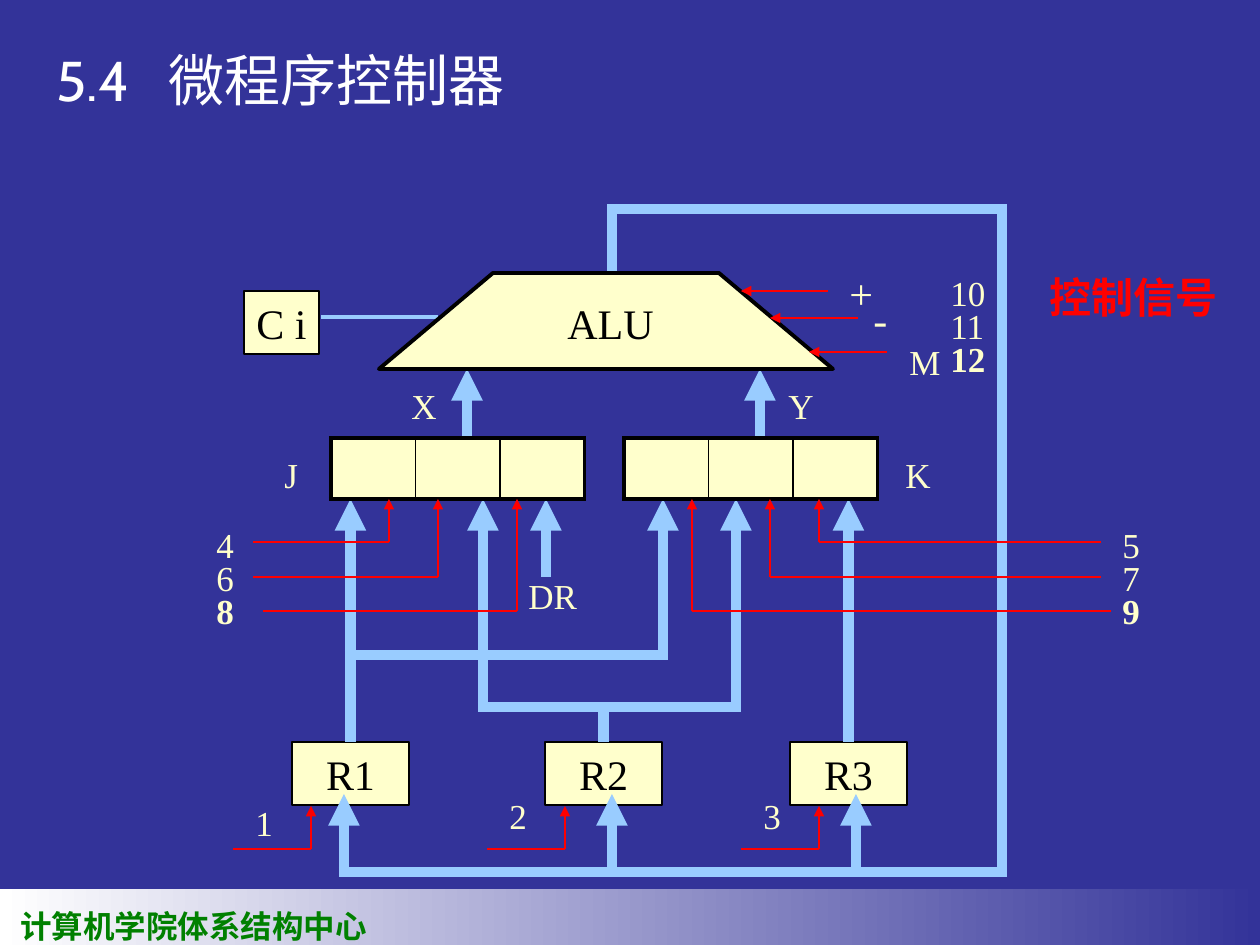
from typing import NamedTuple

from lxml import etree
from pptx import Presentation
from pptx.dml.color import RGBColor
from pptx.enum.shapes import MSO_CONNECTOR, MSO_SHAPE
from pptx.enum.text import MSO_ANCHOR, MSO_AUTO_SIZE, PP_ALIGN
from pptx.oxml.ns import qn
from pptx.util import Emu, Pt

SCALE = 914400 / 126
STRAIGHT = MSO_CONNECTOR.STRAIGHT
RECTANGLE = MSO_SHAPE.RECTANGLE
LEFT, CENTER = PP_ALIGN.LEFT, PP_ALIGN.CENTER
TOP, MIDDLE, BOTTOM = MSO_ANCHOR.TOP, MSO_ANCHOR.MIDDLE, MSO_ANCHOR.BOTTOM
NO_AUTOFIT = MSO_AUTO_SIZE.NONE
NAVY, CREAM, SKY, RED, BLACK, WHITE, GREEN = (
    "333399", "FFFFCC", "99CCFF", "FF0000", "000000", "FFFFFF", "008000")
TOP_SIDE = 0
BANK_TOP, BANK_BOTTOM, CELL_WIDTH = 438, 499, 84.5
LABEL_HEIGHT = 55


class Pen(NamedTuple):
    color: str
    width: float
    arrow: bool = False


class Wire(NamedTuple):
    x1: float
    y1: float
    x2: float
    y2: float
    pen: Pen


class Label(NamedTuple):
    text: str
    left: int
    top: int
    width: int
    size: int = 20
    color: str = CREAM
    bold: bool = False
    align: PP_ALIGN = LEFT


class Gate(NamedTuple):
    x: int
    y: int
    end: int


BUS, BUS_ARROW = Pen(SKY, 6), Pen(SKY, 6, True)
SIGNAL, SIGNAL_ARROW = Pen(RED, 0.75), Pen(RED, 0.75, True)
THICK, THIN = Pen(BLACK, 2.25), Pen(BLACK, 1)

REGISTERS = [("R1", 292, 499, BUS_ARROW), ("R2", 545, 707, BUS), ("R3", 790, 499, BUS_ARROW)]
BUS_WIRES = [
    *(Wire(x, BANK_TOP, x, 369, BUS_ARROW) for x in (467, 760)),
    *(Wire(x, start, x, BANK_BOTTOM, BUS_ARROW)
      for x, start in ((546, 577), (663, 655), (483, 707), (736, 707))),
    Wire(345, 655, 668, 655, BUS),
    Wire(478, 707, 741, 707, BUS),
    *(Wire(x, 872, x, 794, BUS_ARROW) for x in (344, 612, 856)),
    Wire(339, 872, 1007, 872, BUS),
    Wire(1002, 872, 1002, 204, BUS),
    Wire(612, 204, 612, 273, BUS),
    Wire(612, 209, 1002, 209, BUS),
    Wire(321, 317, 438, 317, Pen(SKY, 2.25)),
]
GATES = [Gate(389, 542, 253), Gate(438, 577, 253), Gate(517, 611, 263),
         Gate(819, 542, 1101), Gate(770, 577, 1101), Gate(692, 611, 1111)]
SIGNAL_WIRES = [
    *(Wire(x, 849, x, 806, SIGNAL_ARROW) for x in (311, 565, 819)),
    *(Wire(x, 849, x - 78, 849, SIGNAL) for x in (311, 565, 819)),
    *(Wire(start, y, end, y, SIGNAL_ARROW)
      for start, y, end in ((828, 291, 741), (858, 318, 770), (887, 352, 809))),
    *(Wire(gate.x, gate.y, gate.x, BANK_BOTTOM, SIGNAL_ARROW) for gate in GATES),
    *(Wire(gate.x, gate.y, gate.end, gate.y, SIGNAL) for gate in GATES),
]
LABELS = [
    Label("计算机学院体系结构中心", 8, 901, 372, 18, GREEN, True),
    Label("ALU", 555, 291, 111, 24, BLACK),
    Label("X", 399, 378, 52), Label("Y", 776, 378, 52),
    Label("J", 272, 447, 52), Label("K", 893, 447, 52),
    Label("DR", 516, 568, 78),
    Label("+", 837, 261, 49, 24), Label("-", 861, 287, 39, 24), Label("M", 897, 334, 57),
    Label("1", 243, 795, 43), Label("2", 497, 788, 43), Label("3", 751, 788, 43),
    Label("控制信号", 1037, 265, 193, 24, RED, True, CENTER),
]
SIGNAL_COLUMNS = [(("4", "6", "8"), 204, 517, 43), (("5", "7", "9"), 1110, 517, 43),
                  (("10", "11", "12"), 938, 265, 60)]


def px(value: float) -> Emu:
    """Turn pixels into EMU."""
    return Emu(round(value * SCALE))


def rgb(color: str) -> RGBColor:
    """Turn a hex string into a colour."""
    return RGBColor.from_string(color)


def write(box, text: str, *, size: int, color: str, font: str = "Times New Roman",
          bold: bool = False, align: PP_ALIGN = LEFT, anchor: MSO_ANCHOR = TOP,
          wrap: bool = False, tab: int = 0) -> None:
    """Put one formatted paragraph in a box."""
    frame = box.text_frame
    frame.auto_size, frame.word_wrap, frame.vertical_anchor = NO_AUTOFIT, wrap, anchor
    para = frame.paragraphs[0]
    para.alignment = align
    if tab:
        tabs = etree.SubElement(para._p.get_or_add_pPr(), qn("a:tabLst"))
        etree.SubElement(tabs, qn("a:tab"), pos=str(px(tab)), algn="l")
    span = para.add_run()
    span.text = text
    span.font.name, span.font.size, span.font.bold = font, Pt(size), bold
    span.font.color.rgb = rgb(color)


def draw_label(page, label: Label) -> None:
    """Draw a free-standing text label."""
    box = page.shapes.add_textbox(px(label.left), px(label.top), px(label.width), px(LABEL_HEIGHT))
    write(box, label.text, size=label.size, color=label.color, bold=label.bold, align=label.align)


def paint(shape, line: Pen | None = None) -> None:
    """Give a shape the cream fill and an optional outline."""
    shape.shadow.inherit = False
    shape.fill.solid()
    shape.fill.fore_color.rgb = rgb(CREAM)
    if line:
        shape.line.color.rgb, shape.line.width = rgb(line.color), Pt(line.width)
    else:
        shape.line.fill.background()


def draw_box(page, left: float, top: int, width: float, height: int, line: Pen | None = None):
    """Draw a cream rectangle."""
    box = page.shapes.add_shape(RECTANGLE, px(left), px(top), px(width), px(height))
    paint(box, line)
    return box


def draw_wire(page, wire: Wire):
    """Draw a straight line with an optional arrowhead."""
    line = page.shapes.add_connector(STRAIGHT, *(px(value) for value in wire[:4]))
    line.line.color.rgb, line.line.width = rgb(wire.pen.color), Pt(wire.pen.width)
    if wire.pen.arrow:
        etree.SubElement(line.line._get_or_add_ln(), qn("a:tailEnd"), type="triangle")
    etree.SubElement(line._element.spPr, qn("a:effectLst"))
    return line


def draw_bank(page, left: int) -> None:
    """Draw a three-cell input selector."""
    edges = [left + column * CELL_WIDTH for column in range(4)]
    for edge in edges[:3]:
        draw_box(page, edge, BANK_TOP, CELL_WIDTH, BANK_BOTTOM - BANK_TOP)
    for edge, pen in zip(edges, (THICK, THIN, THIN, THICK)):
        draw_wire(page, Wire(edge, BANK_TOP, edge, BANK_BOTTOM, pen))
    for y in (BANK_TOP, BANK_BOTTOM):
        draw_wire(page, Wire(edges[0] - 2, y, edges[3] + 2, y, THICK))


def draw_frame(page) -> None:
    """Draw the background, title and footer band."""
    page.background.fill.solid()
    page.background.fill.fore_color.rgb = rgb(NAVY)
    title = page.shapes.title
    title.left, title.top, title.width, title.height = px(44), px(81), px(476), px(38)
    write(title, "5.4\t微程序控制器", size=32, color=WHITE, font="Cabin", anchor=BOTTOM, tab=112)
    band = draw_box(page, 0, 889, 1260, 56)
    band.fill.gradient()
    band.fill.gradient_angle = 0
    for stop, color in zip(band.fill.gradient_stops, (WHITE, NAVY)):
        stop.color.rgb = rgb(color)


def main() -> None:
    """Build the data path slide."""
    deck = Presentation()
    deck.slide_width, deck.slide_height = px(1260), px(945)
    page = deck.slides.add_slide(deck.slide_layouts[5])
    draw_frame(page)
    for name, left, end, pen in REGISTERS:
        box = draw_box(page, left, 742, 117, 63, Pen(BLACK, 0.75))
        write(box, name, size=24, color=BLACK, align=CENTER, anchor=MIDDLE, wrap=True)
        middle = left + 58.5
        draw_wire(page, Wire(middle, 742, middle, end, pen)).begin_connect(box, TOP_SIDE)
    for wire in BUS_WIRES:
        draw_wire(page, wire)
    carry = draw_box(page, 244, 291, 75, 63, Pen(BLACK, 0.75))
    write(carry, "C i", size=24, color=BLACK, anchor=MIDDLE)
    outline = page.shapes.build_freeform(379, 369, scale=SCALE)
    outline.add_line_segments([(493, 273), (719, 273), (833, 369)], close=True)
    paint(outline.convert_to_shape(), THICK)
    for left in (624, 331):
        draw_bank(page, left)
    for wire in SIGNAL_WIRES:
        draw_wire(page, wire)
    for label in LABELS:
        draw_label(page, label)
    for numbers, left, top, width in SIGNAL_COLUMNS:
        for row, number in enumerate(numbers):
            draw_label(page, Label(number, left, top + 33 * row, width, bold=row == 2))
    deck.save("out.pptx")


if __name__ == "__main__":
    main()
